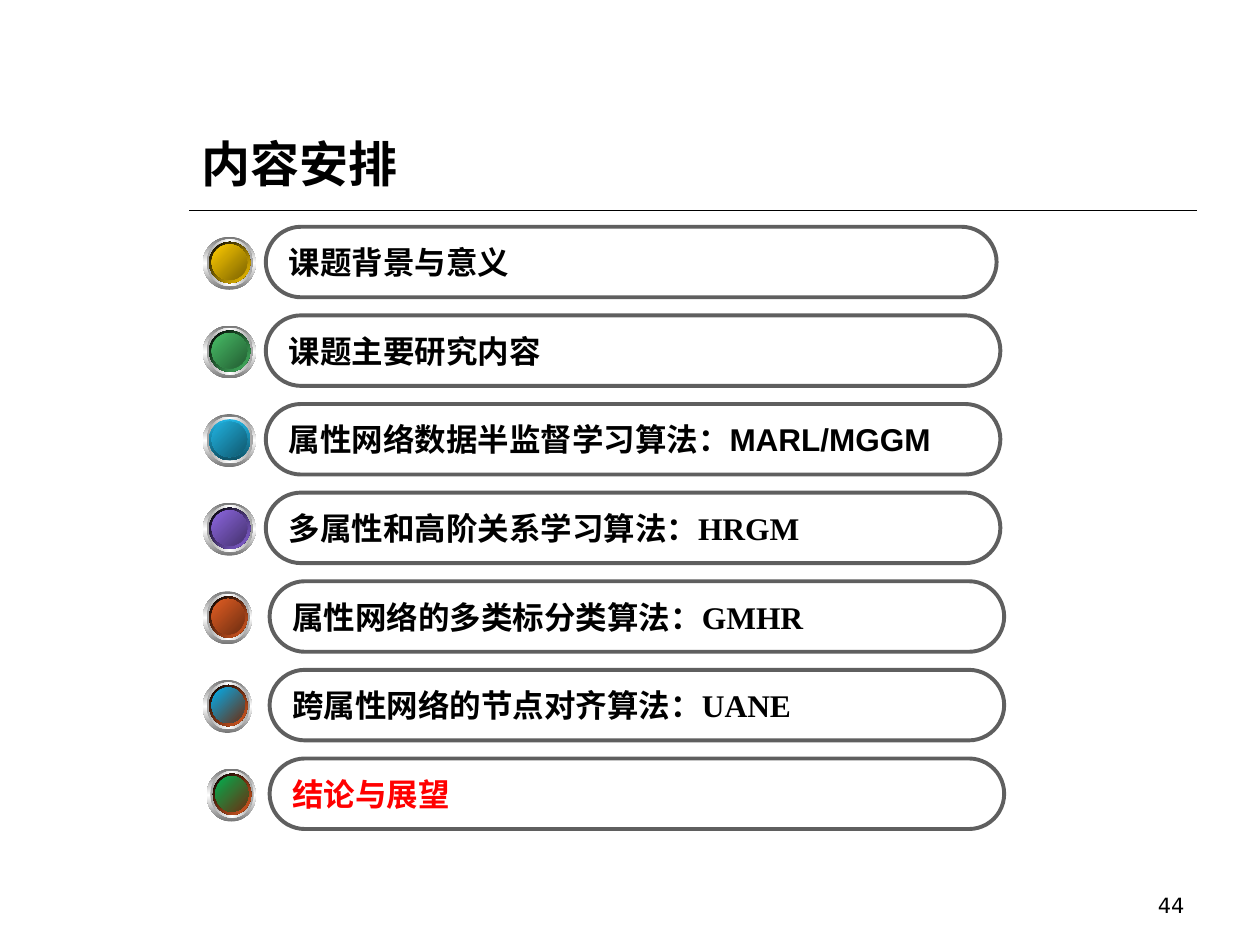
from lxml.etree import SubElement
from pptx import Presentation
from pptx.dml.color import RGBColor
from pptx.enum.shapes import MSO_CONNECTOR, MSO_SHAPE
from pptx.enum.text import MSO_ANCHOR, MSO_AUTO_SIZE, PP_ALIGN
from pptx.oxml.ns import qn
from pptx.util import Inches, Pt

tint = RGBColor.from_string


def write(frame, runs, style, color="000000", align=PP_ALIGN.LEFT):
    """Fill the frame with one paragraph of (text, font name) runs."""
    para = frame.paragraphs[0]
    para.alignment = align
    for text, face in runs:
        run = para.add_run()
        run.text = text
        for key, value in {**style, "name": face}.items():
            setattr(run.font, key, value)
        run.font.color.rgb = tint(color)


def fade(shape, colors, angle):
    """Give evenly spaced gradient stops, with the angle clockwise."""
    shape.fill.gradient()
    shape.fill.gradient_angle = -angle % 360
    stops = shape.element.spPr.find(qn("a:gradFill")).find(qn("a:gsLst"))
    for old in list(stops):
        stops.remove(old)
    for i, color in enumerate(colors):
        place = 100000 * i // (len(colors) - 1)
        stop = SubElement(stops, qn("a:gs"), pos=str(place))
        SubElement(stop, qn("a:srgbClr"), val=color)


deck = Presentation()
deck.slide_width, deck.slide_height = Inches(10), Inches(7.5)
slide = deck.slides.add_slide(deck.slide_layouts[5])
shapes = slide.shapes
left, right = Inches(1.5), Inches(9.5)

# Title and rule
title = shapes.title
box = {"left": left, "top": Inches(0.33),
       "width": right - left, "height": Inches(1.25)}
for key, value in box.items():
    setattr(title, key, value)
frame = title.text_frame
frame.auto_size = MSO_AUTO_SIZE.NONE
frame.vertical_anchor = MSO_ANCHOR.BOTTOM
write(frame, [("内容安排", "Arial")], {"size": Pt(28), "bold": True})

rule = shapes.add_connector(
    MSO_CONNECTOR.STRAIGHT, left, Inches(1.67), right, Inches(1.67))
rule.line.color.rgb = tint("000000")
rule.line.width = Pt(1)
SubElement(rule.element.spPr, qn("a:effectLst"))

# Agenda: runs, text colour, bar left, bar width, button left, button width,
# rim colours, rim angle, face colours
serif = "Times New Roman"
wide, slim = 0.42, 0.39
rust = ("000000", "E35E23")
items = [
    ([("课题背景与意义", "Arial")], "000000", 2.11, 5.8, 1.61, wide,
     ("000000", "FFCC00"), 45, ("FFCC00", "7C6300")),
    ([("课题主要研究内容", "Arial")], "000000", 2.11, 5.83, 1.61, wide,
     ("000000", "48BE67"), 45, ("48BE67", "235C32")),
    ([("属性网络数据半监督学习算法：MARL/MGGM", "Arial")], "000000",
     2.11, 5.83, 1.61, wide,
     ("21B3E1", "0F5368"), 90, ("21B3E1", "10576D")),
    ([("多属性和高阶关系学习算法：", "Arial"), ("HRGM", serif)], "000000",
     2.11, 5.83, 1.61, wide,
     ("000000", "8D67E1"), 45, ("8D67E1", "45326D")),
    ([("属性网络的多类标分类算法：", "Arial"), ("GMHR", serif)], "000000",
     2.14, 5.83, 1.61, slim, rust, 45, ("E35E23", "6E2E11")),
    ([("跨属性网络的节点对齐算法：", "Arial"), ("UANE", serif)], "000000",
     2.14, 5.83, 1.61, slim, rust, 45, ("00B0F0", "6E2E11")),
    ([("结论与展望", "Arial")], "FF0000",
     2.14, 5.83, 1.64, slim, rust, 45, ("00B050", "6E2E11")),
]
first, last, tall = 1.8, 6.02, 0.56
pitch = (last - first) / (len(items) - 1)

for row, item in enumerate(items):
    runs, color, x, width, dot, size, rim, turn, face = item
    top = first + row * pitch
    bar = shapes.add_shape(MSO_SHAPE.ROUNDED_RECTANGLE, Inches(x),
                           Inches(top), Inches(width), Inches(tall))
    bar.adjustments[0] = 0.5
    bar.shadow.inherit = False
    bar.fill.background()
    bar.line.color.rgb = tint("5F5F5F")
    bar.line.width = Pt(2.25)
    frame = bar.text_frame
    frame.word_wrap = False
    frame.vertical_anchor = MSO_ANCHOR.MIDDLE
    write(frame, runs, {"size": Pt(18), "bold": True}, color)

    # Nested discs: left inset, top inset, share of the button's size
    discs = [
        (0, 0, 1, ("767676", "FFFFFF", "767676"), 90),
        (0.03, 0.02, 0.88, ("A2A2A2", "FFFFFF", "A2A2A2"), 0),
        (0.05, 0.04, 0.78, rim, turn),
        (0.07, 0.06, 0.67, face, 45),
    ]
    for dx, dy, share, colors, angle in discs:
        disc = shapes.add_shape(
            MSO_SHAPE.OVAL, Inches(dot + dx), Inches(top + 0.08 + dy),
            Inches(size * share), Inches(wide * share))
        disc.shadow.inherit = False
        disc.line.fill.background()
        fade(disc, colors, angle)

# Page number
page = shapes.add_textbox(
    Inches(7.17), Inches(6.83), Inches(2.33), Inches(0.5))
frame = page.text_frame
frame.word_wrap = True
frame.vertical_anchor = MSO_ANCHOR.BOTTOM
write(frame, [("44", "DejaVu Sans")], {"size": Pt(12)},
      align=PP_ALIGN.RIGHT)

deck.save("out.pptx")
